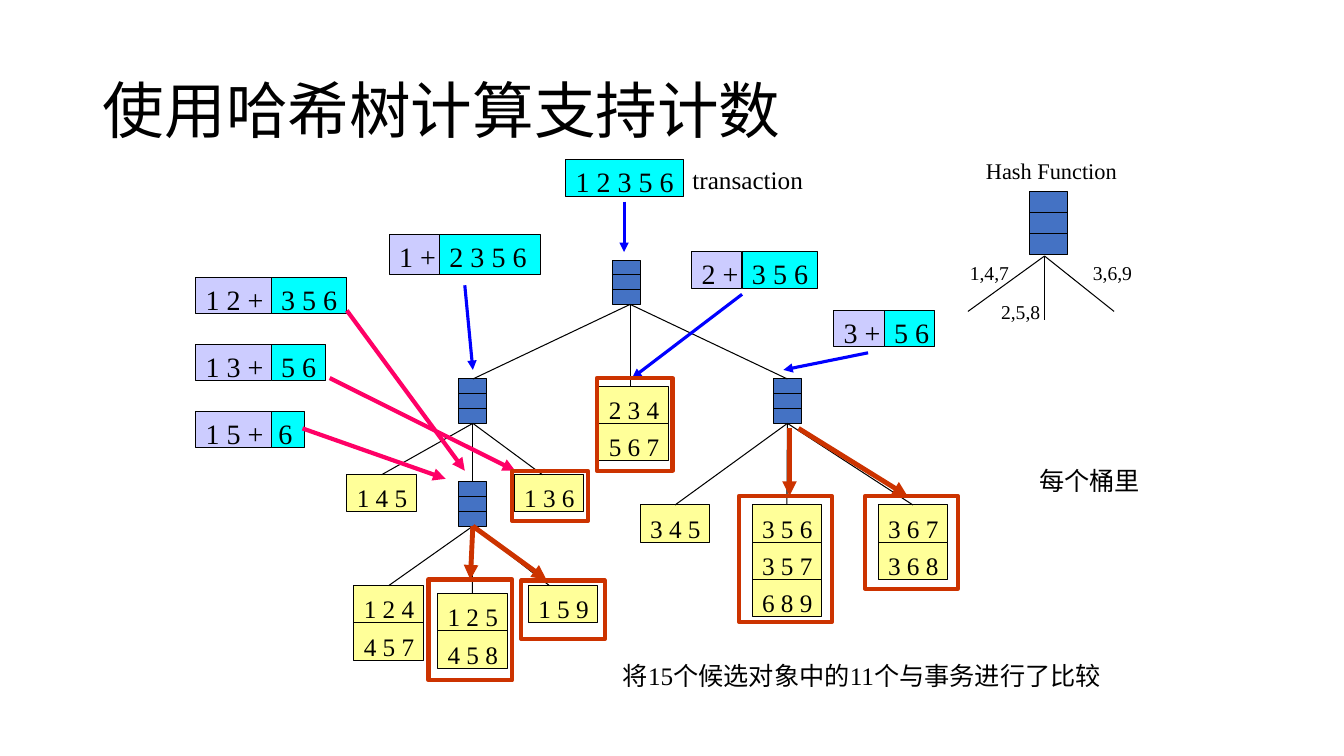
from lxml import etree
from pptx import Presentation
from pptx.dml.color import RGBColor
from pptx.enum.shapes import MSO_CONNECTOR, MSO_SHAPE
from pptx.enum.text import MSO_ANCHOR, MSO_AUTO_SIZE, PP_ALIGN
from pptx.oxml.ns import qn
from pptx.util import Inches, Pt

STRAIGHT = MSO_CONNECTOR.STRAIGHT
RECTANGLE = MSO_SHAPE.RECTANGLE
TOP, MIDDLE = MSO_ANCHOR.TOP, MSO_ANCHOR.MIDDLE
FIT_SHAPE = MSO_AUTO_SIZE.SHAPE_TO_FIT_TEXT
LEFT = PP_ALIGN.LEFT
TOP_SIDE, BOTTOM_SIDE = 0, 2

BLACK = RGBColor(0x00, 0x00, 0x00)
NODE_BLUE = RGBColor(0x44, 0x72, 0xC4)
LEAF_YELLOW = RGBColor(0xFF, 0xFF, 0x99)
CYAN = RGBColor(0x00, 0xFF, 0xFF)
LAVENDER = RGBColor(0xCC, 0xCC, 0xFF)
ARROW_BLUE = RGBColor(0x00, 0x00, 0xFF)
ARROW_PINK = RGBColor(0xFF, 0x00, 0x66)
VISITED_RED = RGBColor(0xCC, 0x33, 0x00)
SERIF = "Times New Roman"
CHINESE = "Noto Sans CJK SC"

NODE_WIDTH, NODE_HEIGHT = 0.28, 0.44
LEAF_WIDTH, LEAF_HEIGHT = 0.69, 0.37


def format_paragraph(paragraph, size, font_name=SERIF):
    paragraph.alignment = LEFT
    paragraph.font.size = Pt(size)
    paragraph.font.name = font_name
    paragraph.font.color.rgb = BLACK
    properties = paragraph._p.pPr.find(qn("a:defRPr"))
    etree.SubElement(properties, qn("a:ea"), typeface=CHINESE)


def add_rectangle(slide, left, top, width, height, fill=None, line=BLACK, line_width=0.75):
    shape = slide.shapes.add_shape(
        RECTANGLE, Inches(left), Inches(top), Inches(width), Inches(height))
    shape.shadow.inherit = False
    if fill is None:
        shape.fill.background()
    else:
        shape.fill.solid()
        shape.fill.fore_color.rgb = fill
    shape.line.color.rgb = line
    shape.line.width = Pt(line_width)
    return shape


def add_item_box(slide, left, top, width, height, text, fill, size, inset_top, inset_left=0.1):
    shape = add_rectangle(slide, left, top, width, height, fill)
    frame = shape.text_frame
    frame.text = text
    frame.word_wrap = True
    frame.vertical_anchor = TOP
    frame.margin_left, frame.margin_top = Inches(inset_left), Inches(inset_top)
    frame.margin_right = frame.margin_bottom = 0
    format_paragraph(frame.paragraphs[0], size)
    return shape


def add_label(slide, left, top, width, height, text, size, wrap=False, font_name=SERIF):
    box = slide.shapes.add_textbox(Inches(left), Inches(top), Inches(width), Inches(height))
    frame = box.text_frame
    frame.text = text
    frame.word_wrap = wrap
    frame.auto_size = FIT_SHAPE
    format_paragraph(frame.paragraphs[0], size, font_name)


def add_line(slide, x1, y1, x2, y2, color=BLACK, width=0.75, arrow=False):
    line = slide.shapes.add_connector(STRAIGHT, Inches(x1), Inches(y1), Inches(x2), Inches(y2))
    line.line.color.rgb = color
    line.line.width = Pt(width)
    if arrow:
        etree.SubElement(line.line._get_or_add_ln(), qn("a:tailEnd"), type="triangle")
    etree.SubElement(line._element.spPr, qn("a:effectLst"))
    return line


def add_node(slide, left, top, width=NODE_WIDTH, height=NODE_HEIGHT):
    node = add_rectangle(slide, left, top, width, height, NODE_BLUE)
    for third in (1, 2):
        y = top + height * third / 3
        add_line(slide, left, y, left + width, y)
    return node


def add_title(slide, left, top, width, height):
    title = slide.shapes.title
    title.left, title.top = Inches(left), Inches(top)
    title.width, title.height = Inches(width), Inches(height)
    frame = title.text_frame
    frame.text = "使用哈希树计算支持计数"
    frame.vertical_anchor = MIDDLE
    frame.paragraphs[0].line_spacing = 0.9
    format_paragraph(frame.paragraphs[0], 44, CHINESE)


def add_hash_tree(slide, left, top):
    places = {"root": (2.67, 0.08), "left": (1.15, 1.26),
              "right": (4.27, 1.26), "lower": (1.15, 2.28)}
    parts = {name: add_node(slide, left + x, top + y) for name, (x, y) in places.items()}
    leaves = [
        (0.04, 2.21, ["1 4 5"]), (1.7, 2.21, ["1 3 6"]), (2.95, 2.51, ["3 4 5"]),
        (4.06, 2.51, ["3 5 6", "3 5 7", "6 8 9"]), (5.31, 2.51, ["3 6 7", "3 6 8"]),
        (2.54, 1.33, ["2 3 4", "5 6 7"]), (0.11, 3.31, ["1 2 4", "4 5 7"]),
        (0.94, 3.39, ["1 2 5", "4 5 8"]), (1.84, 3.31, ["1 5 9"]),
    ]
    for x, y, itemsets in leaves:
        for row, itemset in enumerate(itemsets):
            parts[itemset] = add_item_box(
                slide, left + x, top + y + row * LEAF_HEIGHT, LEAF_WIDTH, LEAF_HEIGHT,
                itemset, LEAF_YELLOW, 18, 0.08)
    joined_edges = [
        ("left", "1 4 5"), ("left", "lower"), ("right", "3 4 5"), ("right", "3 5 6"),
        ("right", "3 6 7"), ("lower", "1 2 4"), ("lower", "1 2 5"),
    ]
    for parent, child in joined_edges:
        edge = add_line(slide, left, top, left, top)
        edge.begin_connect(parts[parent], BOTTOM_SIDE)
        edge.end_connect(parts[child], TOP_SIDE)
    for child in ("left", "right"):
        edge = add_line(slide, left + 2.85, top + 0.52, left, top)
        edge.end_connect(parts[child], TOP_SIDE)
    add_line(slide, left + 2.85, top + 0.52, left + 2.85, top + 1.33)
    for parent, x, y in [("left", 1.98, 2.21), ("lower", 2.05, 3.31)]:
        edge = add_line(slide, left, top, left + x, top + y)
        edge.begin_connect(parts[parent], BOTTOM_SIDE)
    return parts["lower"]


def add_visited_marks(slide, left, top, lower_node):
    frames = [
        (0.85, 3.25, 0.83, 1), (1.77, 3.26, 0.83, 0.58), (2.52, 1.25, 0.75, 0.92),
        (1.68, 2.17, 0.75, 0.5), (3.93, 2.42, 0.92, 1.25), (5.18, 2.42, 0.92, 0.92),
    ]
    marks = [add_rectangle(slide, left + x, top + y, width, height, None, VISITED_RED, 3)
             for x, y, width, height in frames]
    paths = [(1.27, 2.75, 1.27, 3.25), (1.27, 2.75, 2.02, 3.25),
             (4.43, 1.75, 4.43, 2.42), (4.52, 1.75, 5.6, 2.42)]
    arrows = [add_line(slide, left + x1, top + y1, left + x2, top + y2, VISITED_RED, 3.5, True)
              for x1, y1, x2, y2 in paths]
    for arrow in arrows[:2]:
        arrow.begin_connect(lower_node, BOTTOM_SIDE)
    arrows[0].end_connect(marks[0], TOP_SIDE)


def add_transaction_split(slide, left, top):
    add_item_box(slide, left + 3.67, top, 1.17, 0.37, "1 2 3 5 6", CYAN, 20, 0.05)
    add_label(slide, left + 4.83, top, 1.3, 0.4, "transaction", 18)
    splits = [
        (0, 1.17, 0.36, "1 2 +", 0.75, "3 5 6", 0.75, 0.1),
        (0, 1.84, 0.36, "1 3 +", 0.75, "5 6", 0.54, 0.1),
        (0, 2.5, 0.36, "1 5 +", 0.75, "6", 0.33, 0.07),
        (4.92, 0.92, 0.36, "2 +", 0.5, "3 5 6", 0.75, 0.1),
        (6.33, 1.5, 0.36, "3 +", 0.5, "5 6", 0.5, 0.1),
        (1.92, 0.75, 0.39, "1 +", 0.5, "2 3 5 6", 1, 0.1),
    ]
    for x, y, height, prefix, prefix_width, suffix, suffix_width, inset in splits:
        add_item_box(slide, left + x, top + y, prefix_width, height, prefix, LAVENDER, 20, 0.05)
        add_item_box(slide, left + x + prefix_width, top + y, suffix_width, height,
                     suffix, CYAN, 20, 0.05, inset)
    arrows = [
        (ARROW_BLUE, 2.25, [(4.25, 0.42, 4.25, 0.92), (2.67, 1.25, 2.75, 2.09),
                            (5.42, 1.34, 4.33, 2.17), (6.67, 1.92, 5.83, 2.09)]),
        (ARROW_PINK, 3, [(1.5, 1.5, 2.67, 3.09), (1.06, 2.67, 2.48, 3.17),
                         (1.33, 2.17, 3.17, 3.09)]),
    ]
    for color, width, paths in arrows:
        for x1, y1, x2, y2 in paths:
            add_line(slide, left + x1, top + y1, left + x2, top + y2, color, width, True)


def add_hash_function(slide, left, top):
    add_label(slide, left + 0.16, top, 1.51, 0.37, "Hash Function", 16)
    add_node(slide, left + 0.69, top + 0.39, 0.38, 0.63)
    branches = [("1,4,7", 0, 1.03, 0.08, 1.58), ("2,5,8", 0.31, 1.42, 0.84, 1.66),
                ("3,6,9", 1.22, 1.03, 1.53, 1.58)]
    for text, x, y, end_x, end_y in branches:
        add_line(slide, left + 0.84, top + 1.03, left + end_x, top + end_y)
        add_label(slide, left + x, top + y, 0.59, 0.34, text, 14)


def main():
    presentation = Presentation()
    presentation.slide_width, presentation.slide_height = Inches(13.33), Inches(7.5)
    slide = presentation.slides.add_slide(presentation.slide_layouts[5])
    add_title(slide, 0.92, 0.4, 11.5, 1.45)
    lower_node = add_hash_tree(slide, 3.4, 2.5)
    add_hash_function(slide, 9.52, 1.51)
    add_transaction_split(slide, 1.94, 1.58)
    add_visited_marks(slide, 3.4, 2.5, lower_node)
    add_label(slide, 6.08, 6.5, 5.26, 0.4, "将15个候选对象中的11个与事务进行了比较", 18, True)
    add_label(slide, 10.21, 4.57, 2.21, 0.4, "每个桶里", 18, True, CHINESE)
    presentation.save("out.pptx")


if __name__ == "__main__":
    main()
